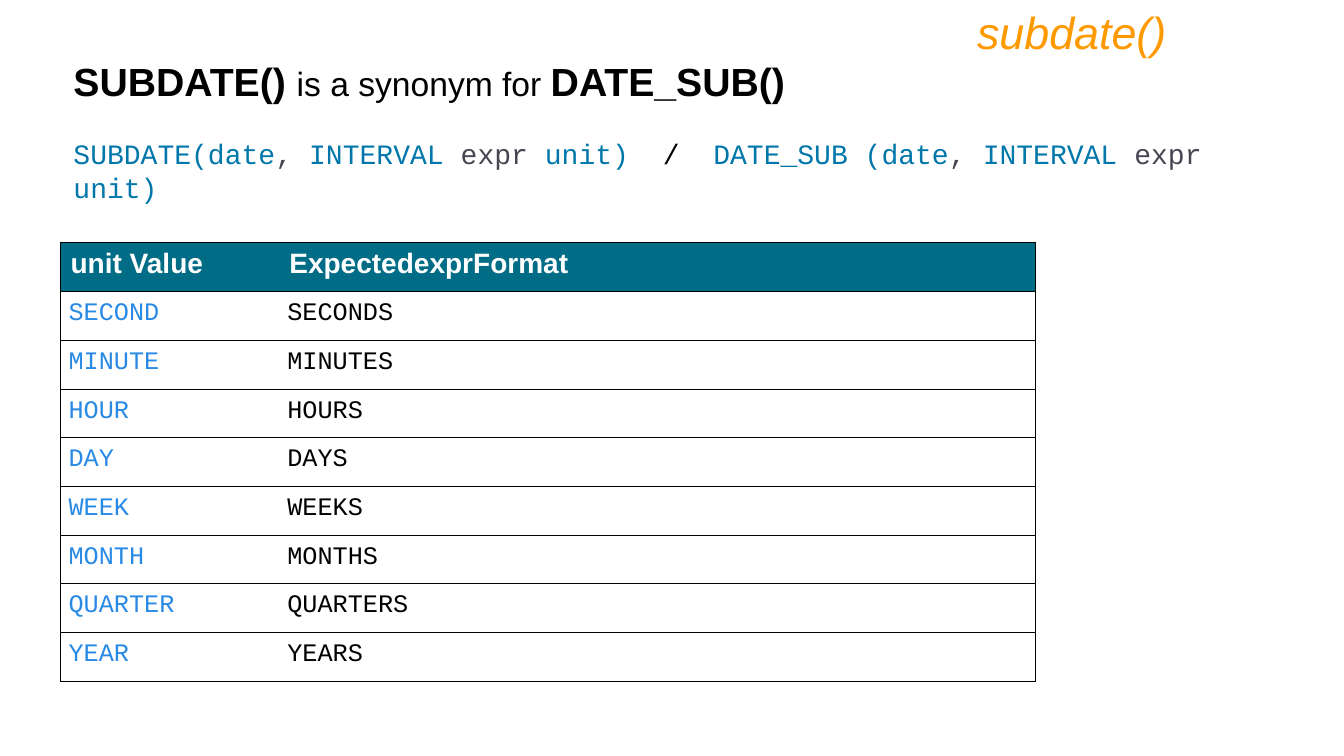
from dataclasses import dataclass

from lxml.etree import SubElement
from pptx import Presentation
from pptx.dml.color import RGBColor
from pptx.enum.text import MSO_ANCHOR, MSO_AUTO_SIZE, PP_ALIGN
from pptx.oxml.ns import qn
from pptx.util import Pt

EMU_PER_PX = 9144


def px(n):
    return n * EMU_PER_PX


@dataclass(frozen=True)
class Theme:
    sans: str = "Arial"
    mono: str = "Courier New"
    black: str = "000000"
    white: str = "FFFFFF"
    orange: str = "FF9900"
    keyword: str = "0077AA"
    argument: str = "464653"
    unit: str = "298AE5"
    header: str = "006C86"
    title_size: int = 32
    heading_size: int = 28
    lead_size: int = 24
    code_size: int = 20
    cell_size: int = 18
    border: float = 0.75


class Deck:
    """Draws styled elements on the current slide."""

    def __init__(self, theme, width, height):
        self.theme = theme
        self.prs = Presentation()
        self.prs.slide_width, self.prs.slide_height = px(width), px(height)
        self.s = None

    def add_slide(self):
        self.s = self.prs.slides.add_slide(self.prs.slide_layouts.get_by_name("Title Only"))

    def run(self, p, text, size, color, font, bold=False, italic=False):
        r = p.add_run()
        r.text = text
        r.font.name, r.font.size = font, Pt(size)
        r.font.bold, r.font.italic = bold, italic
        r.font.color.rgb = RGBColor.from_string(color)

    def title(self, x, y, w, h, text):
        t = self.theme
        sp = self.s.shapes.title
        sp.left, sp.top, sp.width, sp.height = map(px, (x, y, w, h))
        tf = sp.text_frame
        tf.auto_size = MSO_AUTO_SIZE.NONE
        tf.vertical_anchor = MSO_ANCHOR.TOP
        p = tf.paragraphs[0]
        p.alignment = PP_ALIGN.RIGHT
        self.run(p, text, t.title_size, t.orange, t.sans, italic=True)

    def text(self, x, y, w, h, runs):
        sp = self.s.shapes.add_textbox(*map(px, (x, y, w, h)))
        tf = sp.text_frame
        tf.word_wrap = True
        for r in runs:
            self.run(tf.paragraphs[0], *r)

    def borders(self, cell, sides):
        tcPr = cell._tc.get_or_add_tcPr()
        for side in "LRTB":
            ln = SubElement(tcPr, qn(f"a:ln{side}"), w=str(Pt(self.theme.border)))
            if side in sides:
                fill = SubElement(ln, qn("a:solidFill"))
                SubElement(fill, qn("a:srgbClr"), val=self.theme.black)
            else:
                SubElement(ln, qn("a:noFill"))

    def table(self, x, y, widths, h, rows):
        t = self.theme
        sp = self.s.shapes.add_table(
            len(rows), len(widths), px(x), px(y), px(sum(widths)), px(h))
        tbl = sp.table
        tbl.first_row = tbl.horz_banding = False
        for col, w in zip(tbl.columns, widths):
            col.width = px(w)
        for i, row in enumerate(rows):
            for j, text in enumerate(row):
                cell = tbl.cell(i, j)
                self.borders(cell, "LTB" if j == 0 else "RTB")
                p = cell.text_frame.paragraphs[0]
                if i == 0:
                    cell.fill.solid()
                    cell.fill.fore_color.rgb = RGBColor.from_string(t.header)
                    self.run(p, text, t.code_size, t.white, t.sans, bold=True)
                else:
                    cell.fill.background()
                    cell.margin_left = cell.margin_right = px(8)
                    cell.margin_top = cell.margin_bottom = px(8)
                    color = t.unit if j == 0 else t.black
                    self.run(p, text, t.cell_size, color, t.mono)

    def save(self):
        self.prs.save("out.pptx")


def main():
    t = Theme()
    deck = Deck(t, 1333, 750)
    deck.add_slide()
    deck.title(167, 0, 1000, 64, "subdate()")

    arguments = [
        (",", t.argument),
        (" INTERVAL ", t.keyword),
        ("expr", t.argument),
    ]
    syntax = [
        ("SUBDATE(date", t.keyword), *arguments, (" unit)  ", t.keyword),
        ("/ ", t.black),
        (" DATE_SUB (date", t.keyword), *arguments, (" unit)", t.keyword),
    ]
    deck.text(63, 131, 1139, 44,
              [(text, t.code_size, color, t.mono) for text, color in syntax])

    deck.text(63, 52, 949, 57, [
        ("SUBDATE() ", t.heading_size, t.black, t.sans, True),
        ("is a synonym for ", t.lead_size, t.black, t.sans),
        ("DATE_SUB()", t.heading_size, t.black, t.sans, True),
    ])

    units = ["SECOND", "MINUTE", "HOUR", "DAY", "WEEK", "MONTH", "QUARTER", "YEAR"]
    rows = [("unit Value", "ExpectedexprFormat")] + [(u, u + "S") for u in units]
    deck.table(60, 241, [217, 750], 435, rows)
    deck.save()


if __name__ == "__main__":
    main()
